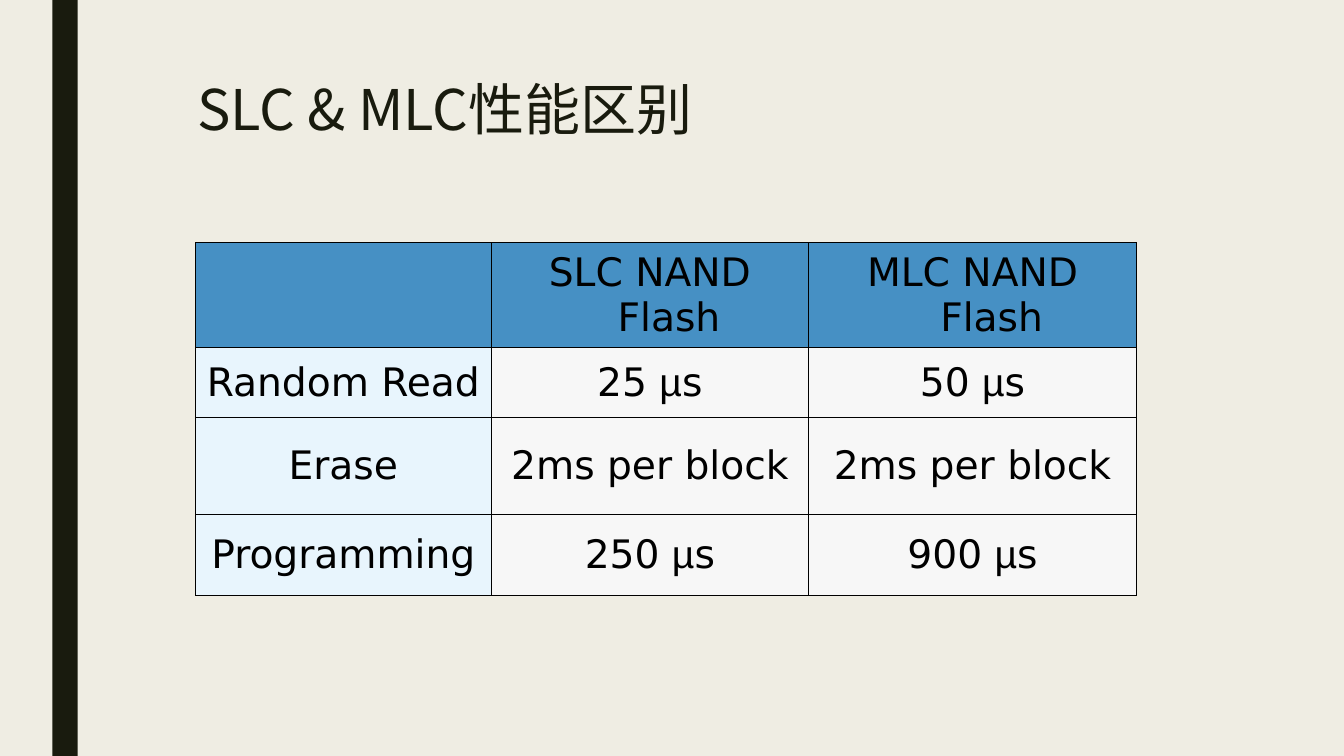
"""Build a slide comparing SLC and MLC flash performance."""
from pptx import Presentation
from pptx import util as u
from pptx.dml.color import RGBColor
from pptx.enum import shapes, text
from pptx.oxml import parse_xml
from pptx.oxml.ns import nsdecls, qn

WIDTH, HEIGHT = u.Inches(13.33), u.Inches(7.5)
COLORS = {"paper": "EFEDE3", "ink": "191B0E", "header": "4690C4",
          "label": "E8F5FD", "value": "F7F7F7", "black": "000000"}
TITLE_FONT, TABLE_FONT, MICRO_FONT = "Noto Sans CJK SC", "DejaVu Sans", "Arial"
COLUMNS = [2.93, 3.15, 3.25]
ROWS = [1.04, 0.69, 0.96, 0.81]
PERFORMANCE = [
    ["", "SLC NAND Flash", "MLC NAND Flash"],
    ["Random Read", "25 µs", "50 µs"],
    ["Erase", "2ms per block", "2ms per block"],
    ["Programming", "250 µs", "900 µs"],
]


def paint(fill, name):
    """Give a fill one solid colour from the palette."""
    fill.solid()
    fill.fore_color.rgb = RGBColor.from_string(COLORS[name])


def style_span(span, size, font, color):
    """Set the size, typeface and colour of a run."""
    span.font.size = u.Pt(size)
    span.font.name = font
    span.font.color.rgb = RGBColor.from_string(COLORS[color])
    span.font._element.append(
        parse_xml(f'<a:ea {nsdecls("a")} typeface="{font}"/>'))


def add_side_bar(page):
    """Draw the dark band along the left edge."""
    bar = page.shapes.add_shape(shapes.MSO_SHAPE.RECTANGLE,
                                u.Inches(0.52), 0, u.Inches(0.25), HEIGHT)
    bar.shadow.inherit = False
    paint(bar.fill, "ink")
    bar.line.fill.background()


def set_title(page, wording):
    """Place and format the title placeholder."""
    box = page.shapes.title
    box.left, box.top = u.Inches(1.86), u.Inches(0.76)
    box.width, box.height = u.Inches(5.67), u.Inches(0.71)
    frame = box.text_frame
    frame.text = wording
    frame.word_wrap = True
    frame.auto_size = text.MSO_AUTO_SIZE.NONE
    frame.vertical_anchor = text.MSO_ANCHOR.MIDDLE
    para = frame.paragraphs[0]
    para.alignment = text.PP_ALIGN.LEFT
    para.line_spacing = 0.89
    style_span(para.runs[0], 40, TITLE_FONT, "ink")


def border_cell(cell):
    """Draw a thin black line on every side of a cell."""
    properties = cell._tc.get_or_add_tcPr()
    for index, side in enumerate(("lnL", "lnR", "lnT", "lnB")):
        properties.insert(index, parse_xml(
            f'<a:{side} {nsdecls("a")} w="{u.Pt(0.75)}"><a:solidFill>'
            f'<a:srgbClr val="{COLORS["black"]}"/></a:solidFill></a:{side}>'))


def fill_cell(cell, wording, color):
    """Write one centred cell, with the micro sign in its own font."""
    paint(cell.fill, color)
    border_cell(cell)
    cell.vertical_anchor = text.MSO_ANCHOR.MIDDLE
    para = cell.text_frame.paragraphs[0]
    para.alignment = text.PP_ALIGN.CENTER
    indent = para._p.get_or_add_pPr()
    indent.set("marL", str(u.Inches(0.38)))
    indent.set("indent", str(-u.Inches(0.38)))
    for part in filter(None, wording.partition("µ")):
        span = para.add_run()
        span.text = part
        style_span(span, 28, MICRO_FONT if part == "µ" else TABLE_FONT, "black")


def add_performance_table(page):
    """Add the table with its header row and label column."""
    frame = page.shapes.add_table(
        len(ROWS), len(COLUMNS), u.Inches(1.94), u.Inches(2.41),
        u.Inches(sum(COLUMNS)), u.Inches(sum(ROWS)))
    table = frame.table
    table.horz_banding = False
    for column, width in zip(table.columns, COLUMNS):
        column.width = u.Inches(width)
    for r, (row, height) in enumerate(zip(table.rows, ROWS)):
        row.height = u.Inches(height)
        for c, cell in enumerate(row.cells):
            color = "header" if r == 0 else "label" if c == 0 else "value"
            fill_cell(cell, PERFORMANCE[r][c], color)


def main():
    """Assemble and save the deck."""
    deck = Presentation()
    deck.slide_width, deck.slide_height = WIDTH, HEIGHT
    page = deck.slides.add_slide(deck.slide_layouts.get_by_name("Title Only"))
    paint(page.background.fill, "paper")
    add_side_bar(page)
    set_title(page, "SLC & MLC性能区别")
    add_performance_table(page)
    deck.save("out.pptx")


if __name__ == "__main__":
    main()
